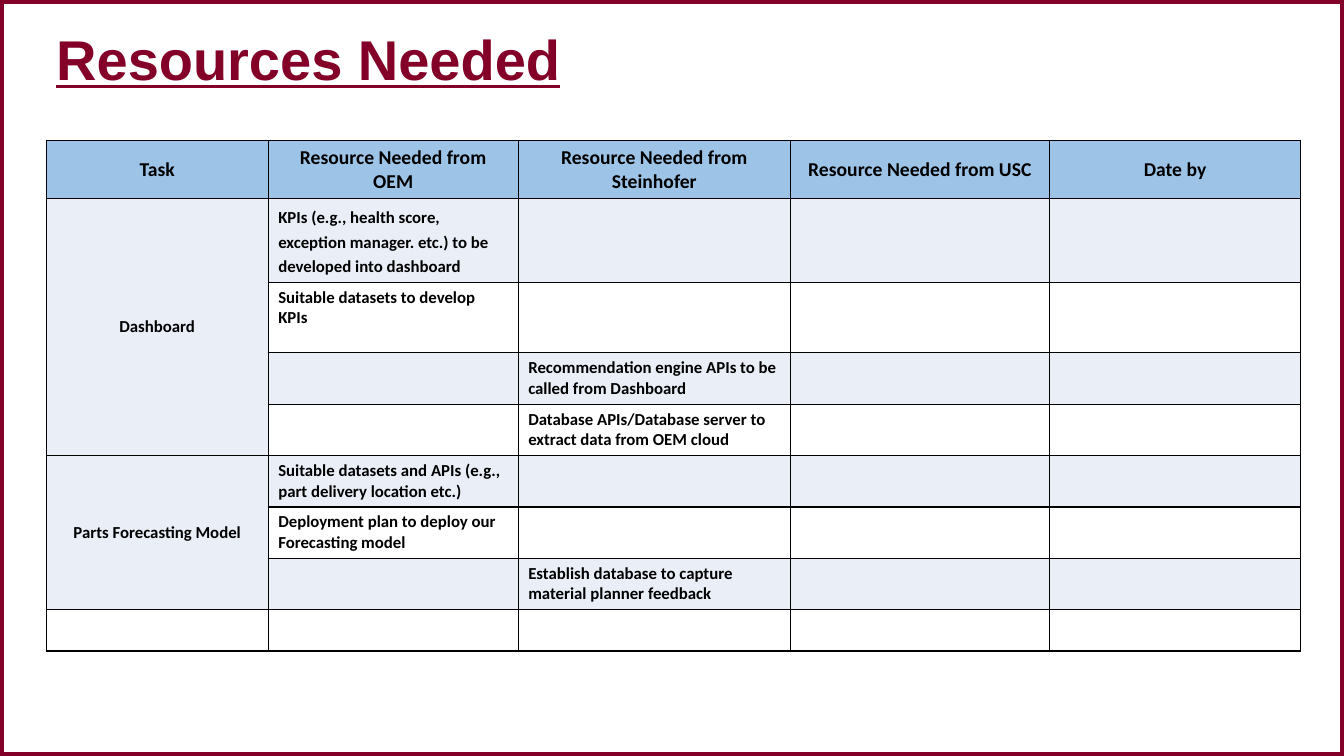
from lxml import etree
from pptx import Presentation
from pptx.dml.color import RGBColor
from pptx.enum.shapes import MSO_SHAPE
from pptx.enum.text import MSO_ANCHOR, PP_ALIGN
from pptx.oxml.ns import qn
from pptx.util import Inches, Pt

RECT = MSO_SHAPE.RECTANGLE
MIDDLE, TOP = MSO_ANCHOR.MIDDLE, MSO_ANCHOR.TOP
CENTER, LEFT = PP_ALIGN.CENTER, PP_ALIGN.LEFT
GARNET = RGBColor(0x83, 0x00, 0x28)
BLACK = RGBColor(0x00, 0x00, 0x00)
WHITE = RGBColor(0xFF, 0xFF, 0xFF)
HEADER_BLUE = RGBColor(0x9D, 0xC3, 0xE6)
PALE_BLUE = RGBColor(0xEA, 0xEF, 0xF7)

TITLE = "Resources Needed"
ROWS = [
    ["Task", "Resource Needed from OEM", "Resource Needed from Steinhofer",
     "Resource Needed from USC", "Date by"],
    ["Dashboard", "KPIs (e.g., health score, exception manager. etc.) to be developed into dashboard",
     "", "", ""],
    ["", "Suitable datasets to develop KPIs", "", "", ""],
    ["", "", "Recommendation engine APIs to be called from Dashboard", "", ""],
    ["", "", "Database APIs/Database server to extract data from OEM cloud", "", ""],
    ["Parts Forecasting Model", "Suitable datasets and APIs (e.g., part delivery location etc.)",
     "", "", ""],
    ["", "Deployment plan to deploy our Forecasting model", "", "", ""],
    ["", "", "Establish database to capture material planner feedback", "", ""],
    ["", "", "", "", ""],
]
TASK_SPANS = [(1, 4), (5, 7)]
COL_WIDTHS = [2.2, 2.48, 2.7, 2.57, 2.49]
ROW_HEIGHTS = [0.58, 0.83, 0.7] + [0.51] * 5 + [0.41]


def write(tf, text, size=12, font="Calibri", color=BLACK, align=LEFT,
          underline=False, spacing=1.0):
    p = tf.paragraphs[0]
    p.alignment = align
    p.line_spacing = spacing
    r = p.add_run()
    r.text = text
    r.font.size = Pt(size)
    r.font.name = font
    r.font.bold = True
    r.font.underline = underline
    r.font.color.rgb = color


def add_borders(cell):
    tcPr = cell._tc.get_or_add_tcPr()
    for i, side in enumerate(("a:lnL", "a:lnR", "a:lnT", "a:lnB")):
        ln = etree.Element(qn(side), w=str(Pt(1)))
        fill = etree.SubElement(ln, qn("a:solidFill"))
        etree.SubElement(fill, qn("a:srgbClr"), val=str(BLACK))
        tcPr.insert(i, ln)


def add_frame(s, prs):
    sp = s.shapes.add_shape(RECT, 0, 0, prs.slide_width, prs.slide_height)
    sp.shadow.inherit = False
    sp.fill.background()
    sp.line.color.rgb = GARNET
    sp.line.width = Pt(6)


def add_title(s):
    sp = s.shapes.add_textbox(Inches(0.46), Inches(0.15), Inches(12.43), Inches(0.93))
    tf = sp.text_frame
    tf.word_wrap = True
    tf.vertical_anchor = MIDDLE
    write(tf, TITLE, size=40, font="Arial", color=GARNET, underline=True, spacing=0.9)


def add_resources(s):
    table = s.shapes.add_table(
        len(ROWS), len(COL_WIDTHS), Inches(0.46), Inches(1.39),
        Inches(sum(COL_WIDTHS)), Inches(sum(ROW_HEIGHTS))).table
    for col, width in zip(table.columns, COL_WIDTHS):
        col.width = Inches(width)
    for row, height in zip(table.rows, ROW_HEIGHTS):
        row.height = Inches(height)
    for first, last in TASK_SPANS:
        table.cell(first, 0).merge(table.cell(last, 0))
    for i, row in enumerate(ROWS):
        for j, text in enumerate(row):
            cell = table.cell(i, j)
            cell.fill.solid()
            cell.fill.fore_color.rgb = HEADER_BLUE if i == 0 else PALE_BLUE if i % 2 else WHITE
            add_borders(cell)
            centered = i == 0 or j == 0
            cell.vertical_anchor = MIDDLE if centered else TOP
            if text:
                write(cell.text_frame, text, size=14 if i == 0 else 12,
                      align=CENTER if centered else LEFT,
                      spacing=1.2 if (i, j) == (1, 1) else 1.0)


def main():
    prs = Presentation()
    prs.slide_width, prs.slide_height = Inches(13.33), Inches(7.5)
    s = prs.slides.add_slide(prs.slide_layouts[6])
    add_frame(s, prs)
    add_title(s)
    add_resources(s)
    prs.save("out.pptx")


if __name__ == "__main__":
    main()
